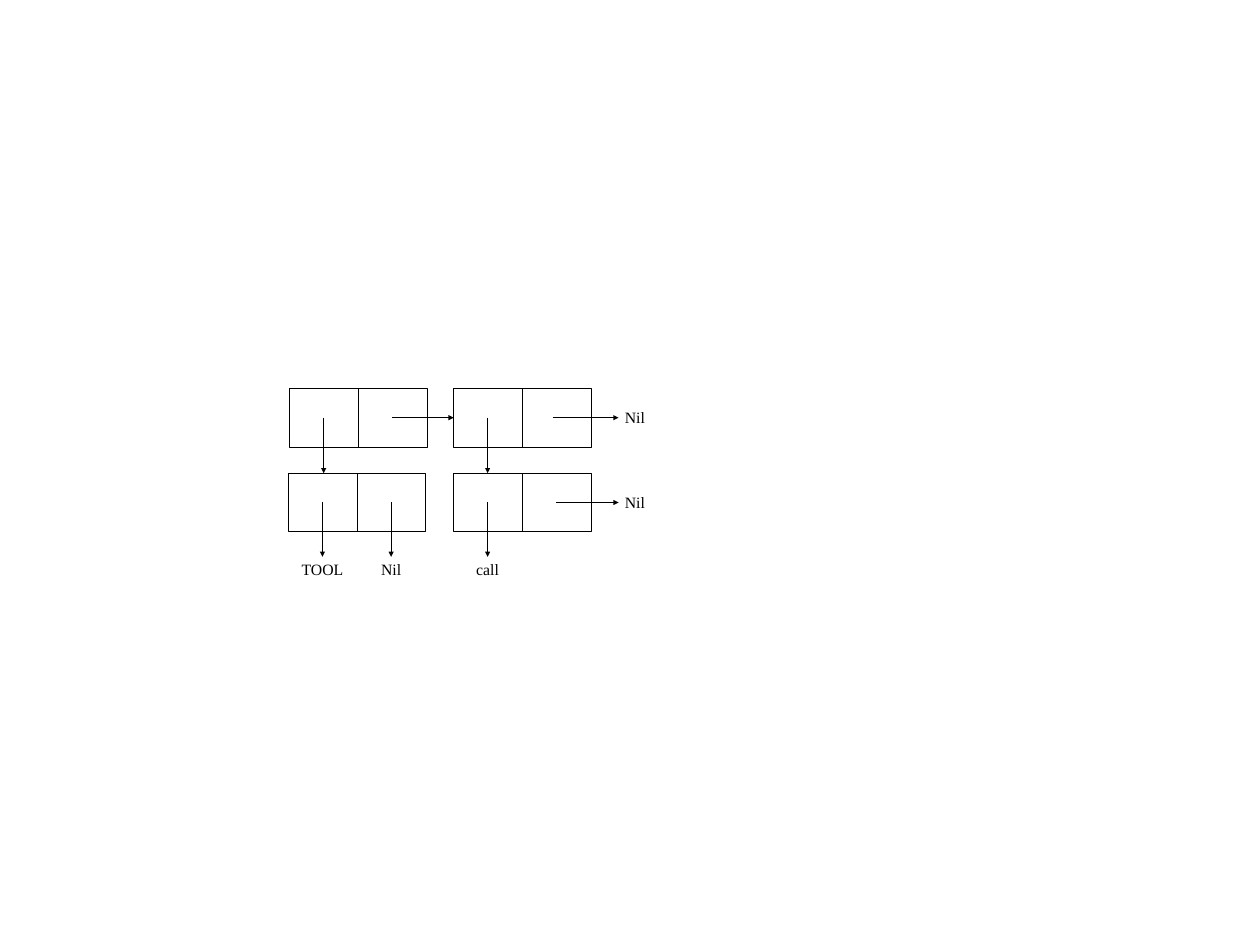
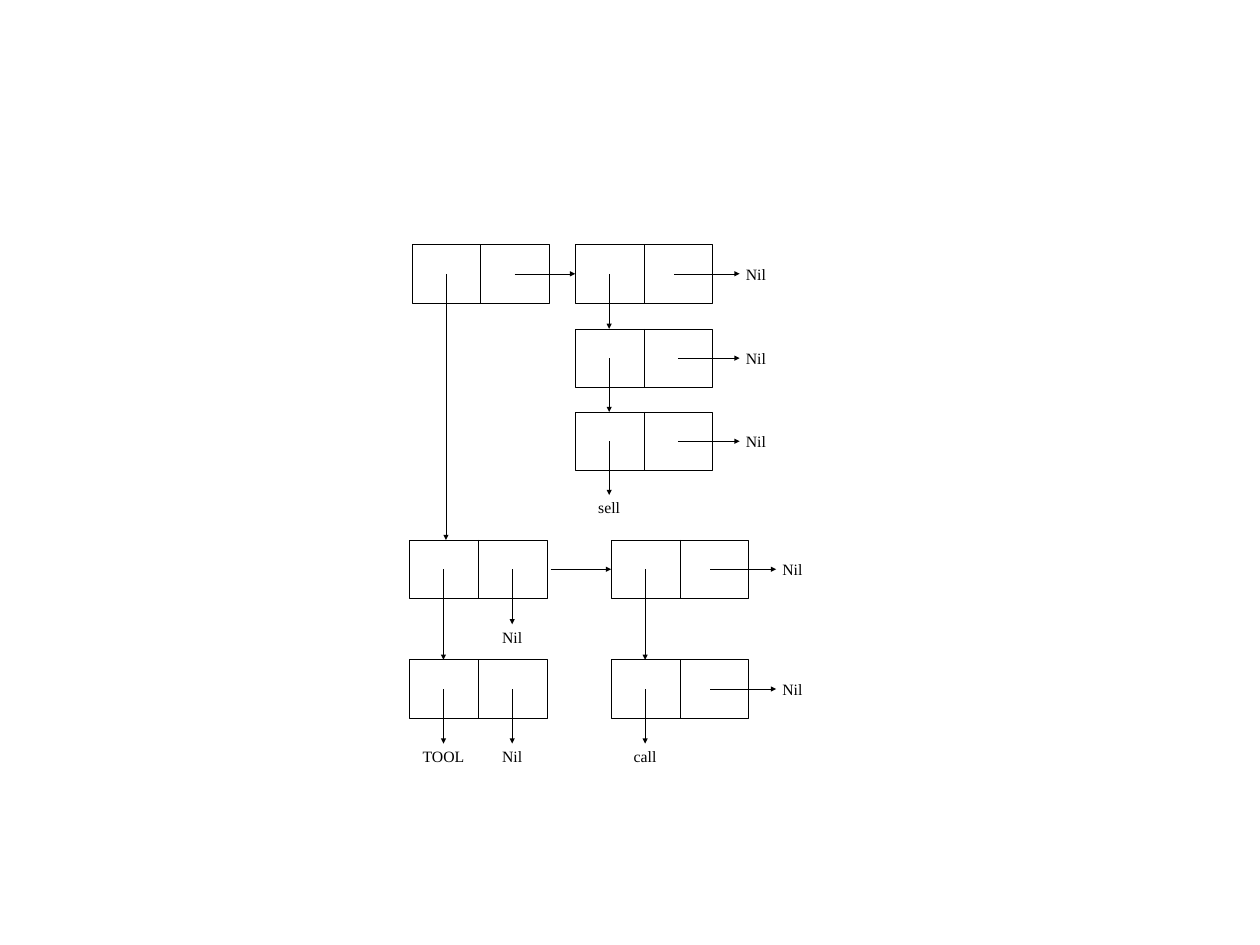
from dataclasses import dataclass

from lxml.etree import SubElement
from pptx import Presentation
from pptx.dml.color import RGBColor
from pptx.enum.shapes import MSO_CONNECTOR, MSO_SHAPE
from pptx.enum.text import PP_ALIGN
from pptx.oxml.ns import qn
from pptx.util import Cm, Pt

INK = "000000"
FONT = "Times New Roman"
PAIR_WIDTH, PAIR_HEIGHT = 5.54, 2.36
LABEL_HEIGHT = 1.02


def color(value):
    """Turn a hex string into a colour."""
    return RGBColor.from_string(value)


@dataclass
class Pair:
    """A list cell of two halves, with where its pointers start, in cm."""
    left: float
    top: float
    tail_offset: float = 4.14

    @property
    def middle(self):
        """Height at which both pointers start."""
        return self.top + PAIR_HEIGHT / 2

    @property
    def head(self):
        """Horizontal start of the first pointer."""
        return self.left + 1.37

    @property
    def tail(self):
        """Horizontal start of the second pointer."""
        return self.left + self.tail_offset


class Diagram:
    """Draws list cells and pointers on the current slide."""

    def __init__(self):
        """Start an empty deck."""
        self.deck = Presentation()
        self.deck.slide_width, self.deck.slide_height = Cm(50.8), Cm(38.1)
        self.page = None

    def new_page(self):
        """Add a blank slide and make it current."""
        self.page = self.deck.slides.add_slide(self.deck.slide_layouts[6])

    def line(self, start, end, arrow=False):
        """Draw a thin line between two points, with an optional arrowhead."""
        ends = [Cm(value) for value in (*start, *end)]
        connector = self.page.shapes.add_connector(MSO_CONNECTOR.STRAIGHT, *ends)
        connector.line.color.rgb = color(INK)
        connector.line.width = Pt(0.5)
        if arrow:
            SubElement(connector.line._get_or_add_ln(), qn("a:tailEnd"), type="triangle")
        SubElement(connector._element.spPr, qn("a:effectLst"))

    def label(self, text, left, top, width, align):
        """Write a one-line label."""
        box = self.page.shapes.add_textbox(Cm(left), Cm(top), Cm(width), Cm(LABEL_HEIGHT))
        box.text_frame.word_wrap = True
        para = box.text_frame.paragraphs[0]
        para.text = text
        para.alignment = align
        span = para.runs[0]
        span.font.name = FONT
        span.font.size = Pt(18)
        span.font.color.rgb = color(INK)

    def pair(self, cell):
        """Draw the box of a list cell and the divider between its halves."""
        box = self.page.shapes.add_shape(
            MSO_SHAPE.RECTANGLE, Cm(cell.left), Cm(cell.top), Cm(PAIR_WIDTH), Cm(PAIR_HEIGHT))
        box.shadow.inherit = False
        box.fill.background()
        box.line.color.rgb = color(INK)
        box.line.width = Pt(0.75)
        center = cell.left + PAIR_WIDTH / 2
        self.line((center, cell.top), (center, cell.top + PAIR_HEIGHT))

    def down(self, x, y, end, text=None):
        """Point down to a height, with an optional label centred below."""
        self.line((x, y), (x, end), arrow=True)
        if text:
            width = 2.4
            self.label(text, x - width / 2, end, width, PP_ALIGN.CENTER)

    def right(self, x, y, end, text=None):
        """Point right to a position, with an optional label beside it."""
        self.line((x, y), (end, y), arrow=True)
        if text:
            self.label(text, end, y - LABEL_HEIGHT / 2, 1.5, PP_ALIGN.LEFT)

    def node(self, cell, head, right=None, down=None):
        """Draw a cell; each pointer is its end and, if any, its label."""
        self.pair(cell)
        self.down(cell.head, cell.middle, *head)
        if right:
            self.right(cell.tail, cell.middle, *right)
        if down:
            self.down(cell.tail, cell.middle, *down)


def draw_short_list(diagram):
    """Draw the list of two nested lists."""
    diagram.new_page()
    left, second, upper, lower = 11.68, 18.29, 15.66, 19.08
    labels, nil = 22.45, (24.94, "Nil")
    diagram.node(Pair(left, upper), (lower,), right=(second,))
    diagram.node(Pair(second, upper, 3.99), (lower,), right=nil)
    diagram.node(Pair(left - 0.05, lower), (labels, "TOOL"), down=(labels, "Nil"))
    diagram.node(Pair(second, lower), (labels, "call"), right=nil)


def draw_long_list(diagram):
    """Draw the list with a chain at the right and nested lists below."""
    diagram.new_page()
    left, chain, branch = 16.51, 23.19, 24.64
    first, second, third, fourth, fifth = 9.86, 13.26, 16.61, 21.77, 26.6
    labels = 29.98
    chain_nil, branch_nil = (29.82, "Nil"), (31.29, "Nil")

    diagram.node(Pair(left + 0.1, first), (fourth,), right=(chain,))
    diagram.node(Pair(chain, first, 3.99), (second,), right=chain_nil)
    diagram.node(Pair(chain, second), (third,), right=chain_nil)
    diagram.node(Pair(chain, third), (19.96, "sell"), right=chain_nil)

    upper = Pair(left, fourth)
    diagram.node(upper, (fifth,), down=(25.17, "Nil"))
    diagram.right(22.2, upper.middle, branch)
    diagram.node(Pair(branch, fourth, 3.99), (fifth,), right=branch_nil)
    diagram.node(Pair(left, fifth), (labels, "TOOL"), down=(labels, "Nil"))
    diagram.node(Pair(branch, fifth, 3.99), (labels, "call"), right=branch_nil)


def main():
    """Build both slides and save the deck."""
    diagram = Diagram()
    draw_short_list(diagram)
    draw_long_list(diagram)
    diagram.deck.save("out.pptx")


main()
